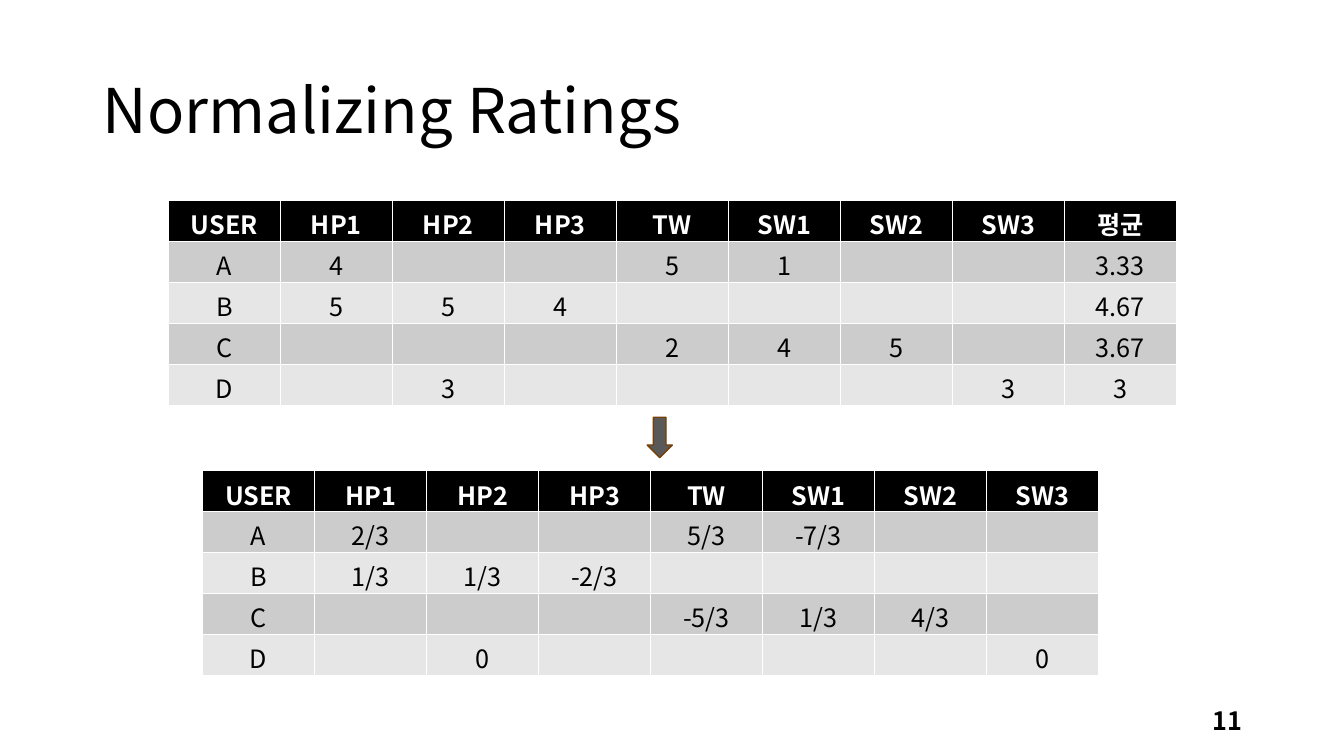
from lxml import etree
from pptx import Presentation
from pptx.dml.color import RGBColor
from pptx.enum.shapes import MSO_SHAPE
from pptx.enum.text import MSO_ANCHOR, PP_ALIGN
from pptx.oxml.ns import qn
from pptx.util import Inches, Pt

FACE = "Noto Sans CJK KR"
BLACK = RGBColor(0x00, 0x00, 0x00)
WHITE = RGBColor(0xFF, 0xFF, 0xFF)
DARK = RGBColor(0xCC, 0xCC, 0xCC)
LIGHT = RGBColor(0xE6, 0xE6, 0xE6)
GRAY = RGBColor(0x59, 0x59, 0x59)
BROWN = RGBColor(0x77, 0x3F, 0x04)
DOWN = MSO_SHAPE.DOWN_ARROW
MIDDLE = MSO_ANCHOR.MIDDLE
LEFT, CENTER, RIGHT = PP_ALIGN.LEFT, PP_ALIGN.CENTER, PP_ALIGN.RIGHT

COL = 10 / 9
ROW = 0.406
ITEMS = ["USER", "HP1", "HP2", "HP3", "TW", "SW1", "SW2", "SW3"]
RATINGS = [
    ITEMS + ["평균"],
    ["A", "4", "", "", "5", "1", "", "", "3.33"],
    ["B", "5", "5", "4", "", "", "", "", "4.67"],
    ["C", "", "", "", "2", "4", "5", "", "3.67"],
    ["D", "", "3", "", "", "", "", "3", "3"],
]
NORMED = [
    ITEMS,
    ["A", "2/3", "", "", "5/3", "-7/3", "", ""],
    ["B", "1/3", "1/3", "-2/3", "", "", "", ""],
    ["C", "", "", "", "-5/3", "1/3", "4/3", ""],
    ["D", "", "0", "", "", "", "", "0"],
]


def write(frame, text, size, align, color=BLACK, bold=False):
    """Fill a text frame with one styled paragraph."""
    frame.text = text
    para = frame.paragraphs[0]
    para.alignment = align
    font = para.font
    font.name, font.size, font.bold = FACE, Pt(size), bold
    font.color.rgb = color
    props = para._p.pPr.find(qn("a:defRPr"))
    etree.SubElement(props, qn("a:ea"), typeface=FACE)
    return para


def add_title(slide, text, left, top, width, height):
    """Place the slide title in its box."""
    title = slide.shapes.title
    title.left, title.top = Inches(left), Inches(top)
    title.width, title.height = Inches(width), Inches(height)
    title.text_frame.vertical_anchor = MIDDLE
    write(title.text_frame, text, 44, LEFT).line_spacing = 0.9


def add_number(slide, text, left, top, width, height):
    """Place the slide number in its box."""
    box = slide.shapes.add_textbox(
        Inches(left), Inches(top), Inches(width), Inches(height))
    box.text_frame.word_wrap = True
    box.text_frame.vertical_anchor = MIDDLE
    write(box.text_frame, text, 18, RIGHT, bold=True)


def add_grid(slide, rows, left, top):
    """Draw a ratings table with a black head and banded rows."""
    count = len(rows[0])
    table = slide.shapes.add_table(
        len(rows), count, Inches(left), Inches(top),
        Inches(COL * count), Inches(ROW * len(rows))).table
    for r, values in enumerate(rows):
        head = r == 0
        band = BLACK if head else DARK if r % 2 else LIGHT
        for c, value in enumerate(values):
            cell = table.cell(r, c)
            cell.fill.solid()
            cell.fill.fore_color.rgb = band
            write(cell.text_frame, value, 18, CENTER,
                  WHITE if head else BLACK, head)


def add_arrow(slide, left, top, width, height):
    """Draw the arrow that leads from one table to the next."""
    arrow = slide.shapes.add_shape(
        DOWN, Inches(left), Inches(top), Inches(width), Inches(height))
    arrow.shadow.inherit = False
    arrow.fill.solid()
    arrow.fill.fore_color.rgb = GRAY
    arrow.line.color.rgb = BROWN
    arrow.line.width = Pt(1)


def main():
    """Build and save the slide."""
    deck = Presentation()
    deck.slide_width, deck.slide_height = Inches(13.333), Inches(7.5)
    slide = deck.slides.add_slide(deck.slide_layouts[5])
    add_title(slide, "Normalizing Ratings", 0.92, 0.4, 11.5, 1.45)
    add_number(slide, "11", 9.42, 6.95, 3, 0.4)
    add_grid(slide, RATINGS, 1.67, 1.99)
    add_arrow(slide, 6.42, 4.14, 0.25, 0.4)
    add_grid(slide, NORMED, 2.01, 4.67)
    deck.save("out.pptx")


if __name__ == "__main__":
    main()
